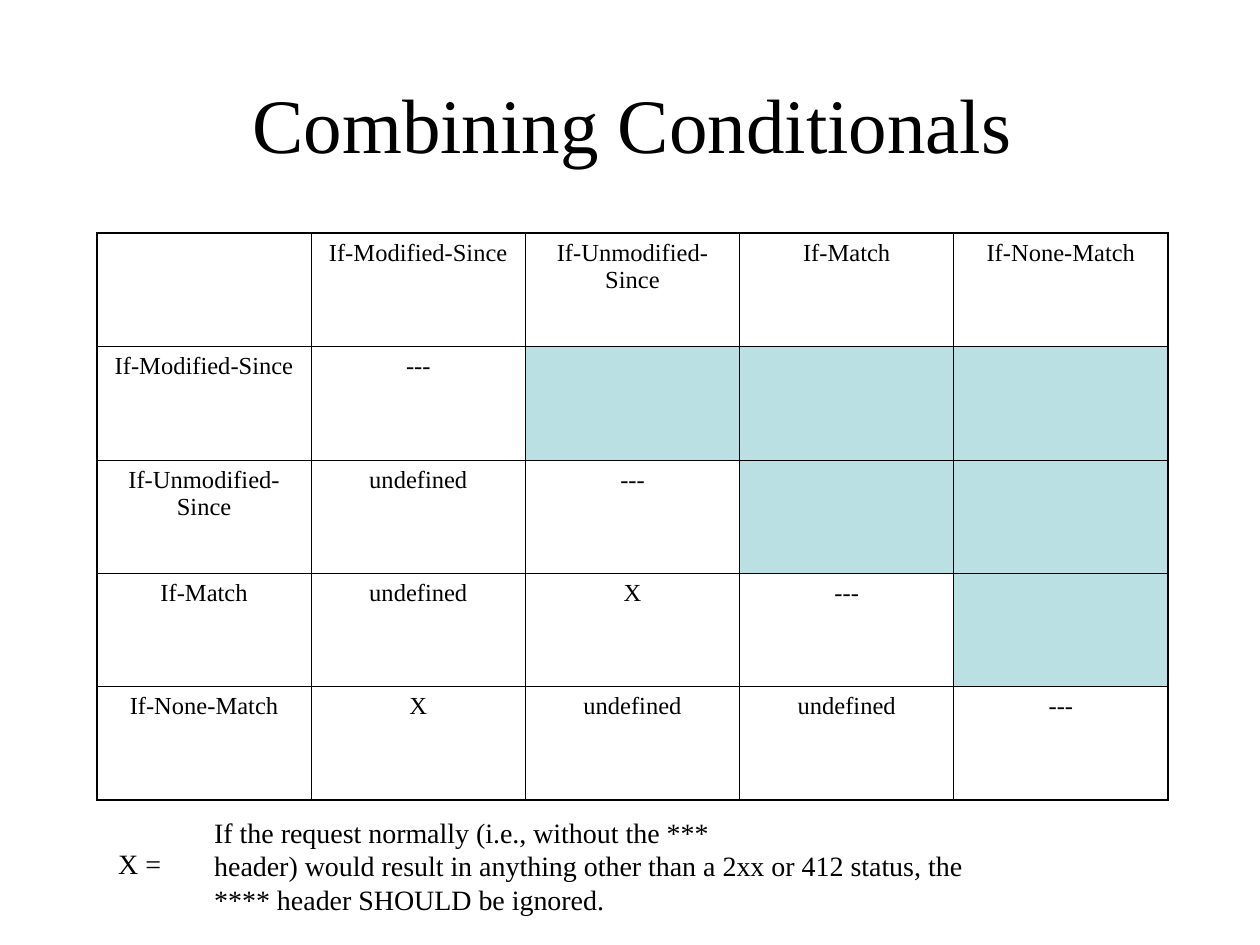
import pptx
import pptx.util
import pptx.dml.color
import pptx.enum.text
import pptx.oxml
import pptx.oxml.ns
import lxml.etree

Inches = pptx.util.Inches
Pt = pptx.util.Pt
ALIGN = pptx.enum.text.PP_ALIGN
ANCHOR = pptx.enum.text.MSO_ANCHOR
FONT = "Times New Roman"
INK = "000000"
SHADE = "BBE0E3"
HEADS = ["If-Modified-Since", "If-Unmodified-Since", "If-Match", "If-None-Match"]
RULES = [
    ["---"],
    ["undefined", "---"],
    ["undefined", "X", "---"],
    ["X", "undefined", "undefined", "---"],
]
NOTE = [
    "If the request normally (i.e., without the ***",
    "header) would result in anything other than a 2xx or 412 status, the",
    "**** header SHOULD be ignored.",
]


def color(code):
    return pptx.dml.color.RGBColor.from_string(code)


def write(para, text, size, align=ALIGN.LEFT):
    para.alignment = align
    run = para.add_run()
    run.text = text
    run.font.name = FONT
    run.font.size = Pt(size)
    run.font.color.rgb = color(INK)


def add_text(slide, box, lines, size, align=ALIGN.LEFT, wrap=False, inset=0.1):
    frame = slide.shapes.add_textbox(*map(Inches, box)).text_frame
    frame.word_wrap = wrap
    frame.margin_left = Inches(inset)
    for i, line in enumerate(lines):
        para = frame.add_paragraph() if i else frame.paragraphs[0]
        write(para, line, size, align)
    return frame


def add_title(slide, box):
    frame = add_text(slide, box, ["Combining Conditionals"], 44, ALIGN.CENTER, True)
    frame.vertical_anchor = ANCHOR.MIDDLE


def set_edge(cell, side, width):
    qn = pptx.oxml.ns.qn
    props = cell._tc.get_or_add_tcPr()
    line = lxml.etree.SubElement(props, qn("a:ln" + side), w=str(Pt(width)))
    fill = lxml.etree.SubElement(line, qn("a:solidFill"))
    lxml.etree.SubElement(fill, qn("a:srgbClr"), val=INK)


def add_grid(slide, box):
    rows = [[""] + HEADS]
    rows += [[head] + rule for head, rule in zip(HEADS, RULES)]
    count = len(rows)
    last = count - 1
    table = slide.shapes.add_table(count, count, *map(Inches, box)).table
    table.first_row = False
    table.horz_banding = False
    for r, row in enumerate(rows):
        table.rows[r].height = Inches(box[3] / count)
        for c in range(count):
            table.columns[c].width = Inches(box[2] / count)
            cell = table.cell(r, c)
            outer = {"L": c == 0, "R": c == last, "T": r == 0, "B": r == last}
            for side, edge in outer.items():
                set_edge(cell, side, 1.08 if edge else 0.45)
            if c >= len(row):
                cell.fill.solid()
                cell.fill.fore_color.rgb = color(SHADE)
                continue
            cell.fill.background()
            if row[c]:
                para = cell.text_frame.paragraphs[0]
                para.space_before = Pt(3.5)
                write(para, row[c], 14, ALIGN.CENTER)


def add_legend(slide, box):
    left, top, width, height = box
    add_text(slide, (left + 0.59, top, width - 0.59, height), NOTE, 16, inset=0.27)
    add_text(slide, (left, top + 0.25, 0.54, 0.37), ["X ="], 16)


def main():
    deck = pptx.Presentation()
    deck.slide_width = Inches(10)
    deck.slide_height = Inches(7.5)
    slide = deck.slides.add_slide(deck.slide_layouts[6])
    add_title(slide, (0.77, 0.35, 8.5, 1.25))
    add_grid(slide, (0.77, 1.85, 8.5, 4.5))
    add_legend(slide, (0.84, 6.42, 6.9, 0.9))
    deck.save("out.pptx")


if __name__ == "__main__":
    main()
